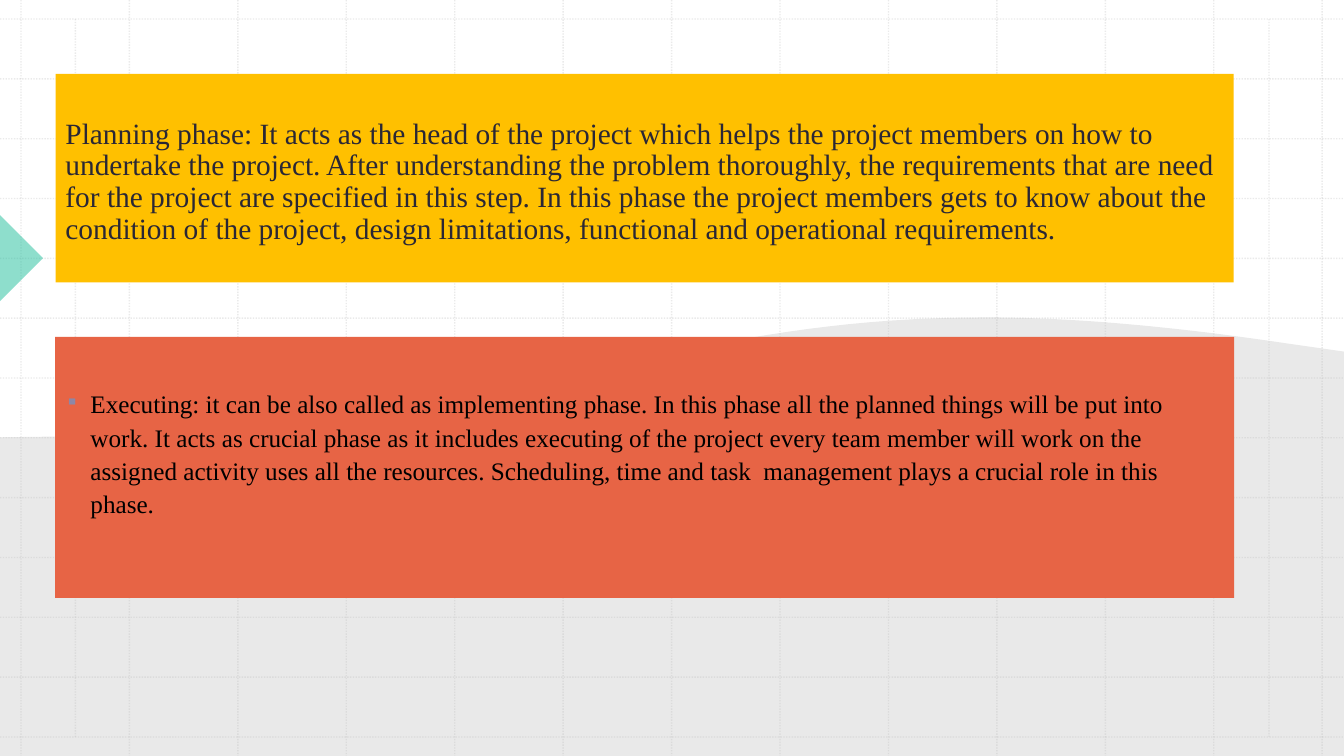
from dataclasses import dataclass

from lxml import etree
from pptx import Presentation
from pptx import util as u
from pptx.dml.color import RGBColor
from pptx.enum import dml, shapes, text
from pptx.oxml import ns

WIDE, HIGH = 33.87, 19.05
WHITE = RGBColor(0xFF, 0xFF, 0xFF)
WAVE = RGBColor(0xE9, 0xE9, 0xE9)
GRID = RGBColor(0xBC, 0xBC, 0xBC)
MINT = RGBColor(0x1E, 0xBE, 0x9B)
GOLD = RGBColor(0xFF, 0xC0, 0x00)
CORAL = RGBColor(0xE7, 0x64, 0x45)
INK = RGBColor(0x2A, 0x27, 0x35)
BLACK = RGBColor(0x00, 0x00, 0x00)
FONT = "Times New Roman"


@dataclass
class Rule:
    x1: float
    y1: float
    x2: float
    y2: float


@dataclass
class Panel:
    left: float
    top: float
    width: float
    height: float
    fill: RGBColor
    ink: RGBColor
    size: float
    pitch: float
    anchor: text.MSO_ANCHOR
    foot: float
    words: str
    bullet: bool = False


PANELS = [
    Panel(1.4, 1.86, 29.69, 5.26, GOLD, INK, 21, 0.9, text.MSO_ANCHOR.BOTTOM, 0.93,
          "Planning phase: It acts as the head of the project which helps the project "
          "members on how to undertake the project. After understanding the problem "
          "thoroughly, the requirements that are need for the project are specified in "
          "this step. In this phase the project members gets to know about the condition "
          "of the project, design limitations, functional and operational requirements."),
    Panel(1.39, 8.49, 29.71, 6.58, CORAL, BLACK, 18, 1.1, text.MSO_ANCHOR.MIDDLE, 0.9,
          "Executing: it can be also called as implementing phase. In this phase all the "
          "planned things will be put into work. It acts as crucial phase as it includes "
          "executing of the project every team member will work on the assigned activity "
          "uses all the resources. Scheduling, time and task  management plays a crucial "
          "role in this phase.", True),
]


def fade(fill, share: int) -> None:
    """Set the opacity, in percent, of the solid colour under an element."""
    color = fill.find(".//" + ns.qn("a:srgbClr"))
    etree.SubElement(color, ns.qn("a:alpha"), val=str(share * 1000))


def paint(shape, color: RGBColor) -> None:
    shape.shadow.inherit = False
    shape.fill.solid()
    shape.fill.fore_color.rgb = color
    shape.line.fill.background()


def curve(start, pull1, pull2, end, steps: int = 40) -> list:
    """Points along a cubic curve, without its start."""
    points = []
    for step in range(1, steps + 1):
        t = step / steps
        s = 1 - t
        points.append(tuple(
            u.Cm(s**3 * a + 3 * s * s * t * b + 3 * s * t * t * c + t**3 * d)
            for a, b, c, d in zip(start, pull1, pull2, end)))
    return points


def draw_wave(slide) -> None:
    crest, slope, low = (24.84, 8.0), (32.33, 8.64), (1.55, 11.0)
    points = curve(crest, (26.92, 8.0), (29.36, 8.2), slope)
    points += [(u.Cm(x), u.Cm(y)) for x, y in
               [(WIDE, 8.86), (WIDE, HIGH), (0, HIGH), (0, 11.02), low]]
    points += curve(low, (13.46, 10.8), (16.48, 8.0), crest)
    pen = slide.shapes.build_freeform(u.Cm(crest[0]), u.Cm(crest[1]))
    pen.add_line_segments(points, close=True)
    paint(pen.convert_to_shape(), WAVE)


def draw_rule(slide, rule: Rule) -> None:
    line = slide.shapes.add_connector(
        shapes.MSO_CONNECTOR.STRAIGHT,
        u.Cm(rule.x1), u.Cm(rule.y1), u.Cm(rule.x2), u.Cm(rule.y2))
    line.line.color.rgb = GRID
    line.line.width = u.Pt(1)
    line.line.dash_style = dml.MSO_LINE.ROUND_DOT
    props = line._element.spPr
    fade(props, 30)
    etree.SubElement(props, ns.qn("a:effectLst"))


def draw_grid(slide) -> None:
    left, right, top, base, count = 0.53, 33.32, 0.48, 18.57, 12
    for i in range(count + 1):
        x = left + (right - left) * i / count
        y = top + (base - top) * i / count
        draw_rule(slide, Rule(x, 0, x, HIGH))
        draw_rule(slide, Rule(0, y, WIDE, y))
    for x in (1.9, 31.98):
        draw_rule(slide, Rule(x, top, x, base))


def draw_arrow(slide) -> None:
    arrow = slide.shapes.add_shape(
        shapes.MSO_SHAPE.RIGHT_TRIANGLE, u.Cm(-0.81), u.Cm(5.72), u.Cm(1.57), u.Cm(1.57))
    arrow.rotation = 225
    paint(arrow, MINT)
    fade(arrow._element.spPr, 50)


def add_bullet(para) -> None:
    props = para._p.get_or_add_pPr()
    props.set("marL", str(u.Cm(0.64)))
    props.set("indent", str(-u.Cm(0.64)))
    color = etree.SubElement(props, ns.qn("a:buClr"))
    etree.SubElement(color, ns.qn("a:srgbClr"), val="8D87A6")
    etree.SubElement(props, ns.qn("a:buSzPct"), val="75000")
    etree.SubElement(props, ns.qn("a:buChar"), char="▪")


def draw_panel(slide, panel: Panel) -> None:
    box = slide.shapes.add_shape(
        shapes.MSO_SHAPE.RECTANGLE, u.Cm(panel.left), u.Cm(panel.top),
        u.Cm(panel.width), u.Cm(panel.height))
    paint(box, panel.fill)
    frame = box.text_frame
    frame.word_wrap = True
    frame.vertical_anchor = panel.anchor
    frame.margin_bottom = u.Cm(panel.foot)
    para = frame.paragraphs[0]
    para.alignment = text.PP_ALIGN.LEFT
    para.line_spacing = panel.pitch
    if panel.bullet:
        add_bullet(para)
    run = para.add_run()
    run.text = panel.words
    run.font.name = FONT
    run.font.size = u.Pt(panel.size)
    run.font.color.rgb = panel.ink


def main() -> None:
    deck = Presentation()
    deck.slide_width, deck.slide_height = u.Cm(WIDE), u.Cm(HIGH)
    slide = deck.slides.add_slide(deck.slide_layouts[6])
    slide.background.fill.solid()
    slide.background.fill.fore_color.rgb = WHITE
    draw_wave(slide)
    draw_grid(slide)
    draw_arrow(slide)
    for panel in PANELS:
        draw_panel(slide, panel)
    deck.save("out.pptx")


if __name__ == "__main__":
    main()
